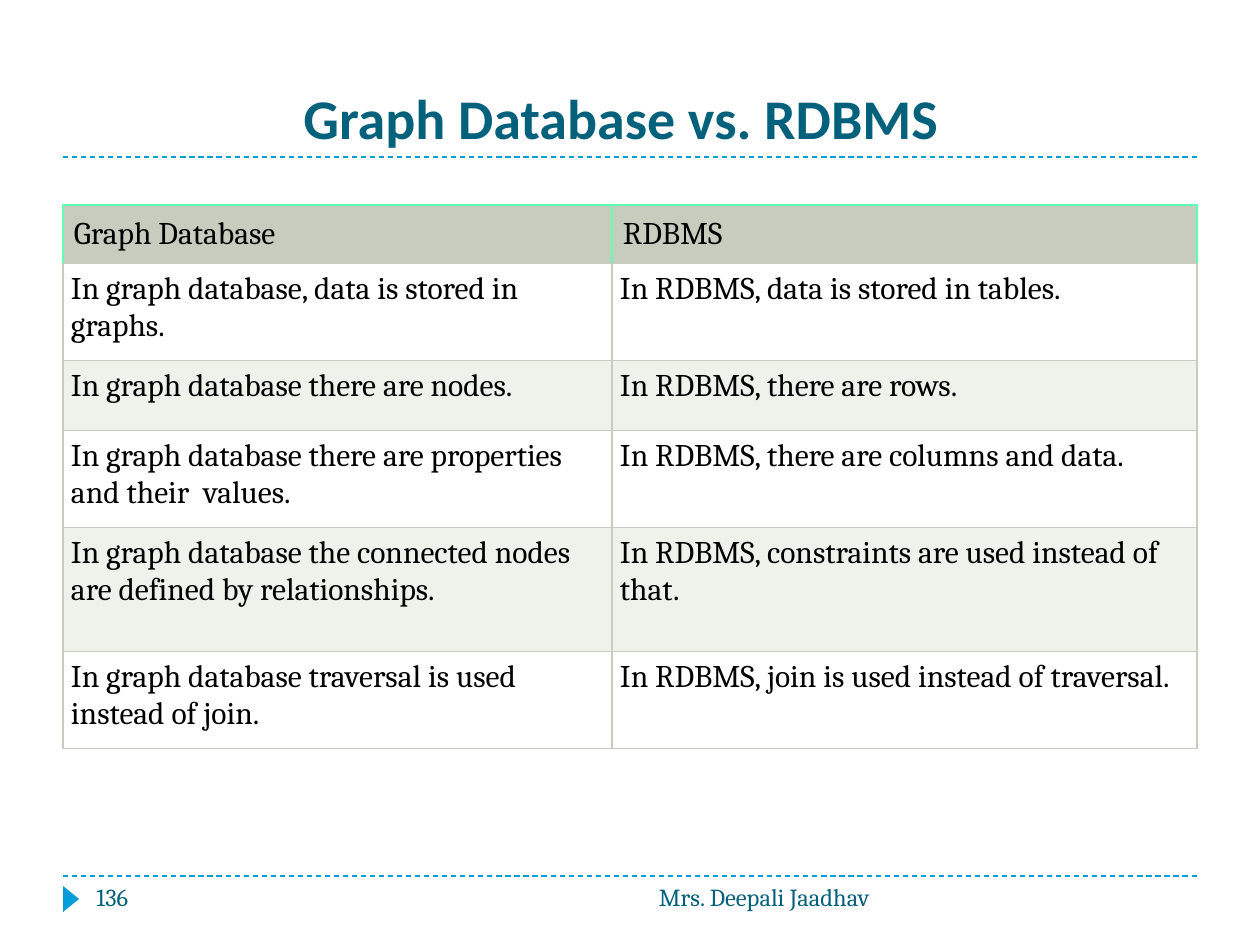
from pptx import Presentation, util as u
from pptx.dml.color import RGBColor
from pptx.enum import dml, shapes, text
from pptx.oxml.ns import qn
from lxml import etree

SCALE = u.Inches(1) / 126
INK, SKY, SAGE, PALE, MINT = "04617B", "009DD9", "C7CCBE", "EFF1EB", "60FFB1"
ROWS = [
    ("Graph Database", "RDBMS"),
    ("In graph database, data is stored in graphs.",
     "In RDBMS, data is stored in tables."),
    ("In graph database there are nodes.", "In RDBMS, there are rows."),
    ("In graph database there are properties and their  values.",
     "In RDBMS, there are columns and data."),
    ("In graph database the connected nodes are defined by relationships.",
     "In RDBMS, constraints are used instead of that."),
    ("In graph database traversal is used instead of join.",
     "In RDBMS, join is used instead of traversal."),
]
WIDTHS = (549, 585)
HEIGHTS = (50, 97, 70, 97, 124, 97)


def px(num):
    return u.Emu(round(num * SCALE))


def box(*nums):
    return [px(num) for num in nums]


def color(code):
    return RGBColor.from_string(code)


def write(frame, words, size, face, code, align=text.PP_ALIGN.LEFT, bold=False):
    frame.word_wrap = True
    para = frame.paragraphs[0]
    para.text = words
    para.alignment = align
    font = para.font
    font.size, font.name, font.bold = u.Pt(size), face, bold
    font.color.rgb = color(code)


def add_rule(slide, top):
    rule = slide.shapes.add_connector(
        shapes.MSO_CONNECTOR.STRAIGHT, *box(63, top, 1197, top))
    rule.line.color.rgb = color(SKY)
    rule.line.width = u.Pt(0.75)
    rule.line.dash_style = dml.MSO_LINE.DASH
    etree.SubElement(rule._element.spPr, qn("a:effectLst"))


def add_mark(slide):
    mark = slide.shapes.add_shape(
        shapes.MSO_SHAPE.ISOSCELES_TRIANGLE, *box(58, 891, 26, 16))
    mark.rotation = 90
    mark.shadow.inherit = False
    mark.fill.solid()
    mark.fill.fore_color.rgb = color(SKY)
    mark.line.fill.background()


def add_title(slide, words):
    title = slide.shapes.title
    title.left, title.top, title.width, title.height = box(184, 76, 874, 81)
    title.text_frame.vertical_anchor = text.MSO_ANCHOR.BOTTOM
    write(title.text_frame, words, 32, "Calibri", INK,
          text.PP_ALIGN.CENTER, True)


def add_note(slide, left, width, words, align):
    note = slide.shapes.add_textbox(*box(left, 876, width, 50))
    write(note.text_frame, words, 14, "Cambria", INK, align)


def set_edge(cell, side, code):
    edge = etree.SubElement(cell._tc.get_or_add_tcPr(), qn(f"a:ln{side}"),
                            w=str(u.Pt(0.75)))
    fill = etree.SubElement(edge, qn("a:solidFill"))
    etree.SubElement(fill, qn("a:srgbClr"), val=code)


def style_cell(cell, words, row):
    head = row == 0
    pad = px(11 if head else 8)
    cell.margin_left = cell.margin_right = pad
    cell.margin_top = cell.margin_bottom = pad
    write(cell.text_frame, words, 18, "Cambria", "000000")
    for side in "LRTB":
        set_edge(cell, side, MINT if head and side != "B" else SAGE)
    cell.fill.solid()
    shade = SAGE if head else ("FFFFFF" if row % 2 else PALE)
    cell.fill.fore_color.rgb = color(shade)


def add_grid(slide):
    table = slide.shapes.add_table(
        len(ROWS), len(WIDTHS),
        *box(63, 205, sum(WIDTHS), sum(HEIGHTS))).table
    for col, width in zip(table.columns, WIDTHS):
        col.width = px(width)
    for row, (words, height) in enumerate(zip(ROWS, HEIGHTS)):
        table.rows[row].height = px(height)
        for col, item in enumerate(words):
            style_cell(table.cell(row, col), item, row)


def main():
    deck = Presentation()
    deck.slide_width, deck.slide_height = box(1260, 945)
    slide = deck.slides.add_slide(deck.slide_layouts[5])
    for top in (876, 157):
        add_rule(slide, top)
    add_mark(slide)
    add_title(slide, "Graph Database vs. RDBMS")
    add_grid(slide)
    add_note(slide, 399, 483, "Mrs. Deepali Jaadhav", text.PP_ALIGN.RIGHT)
    add_note(slide, 84, 273, "136", text.PP_ALIGN.LEFT)
    deck.save("out.pptx")


if __name__ == "__main__":
    main()
